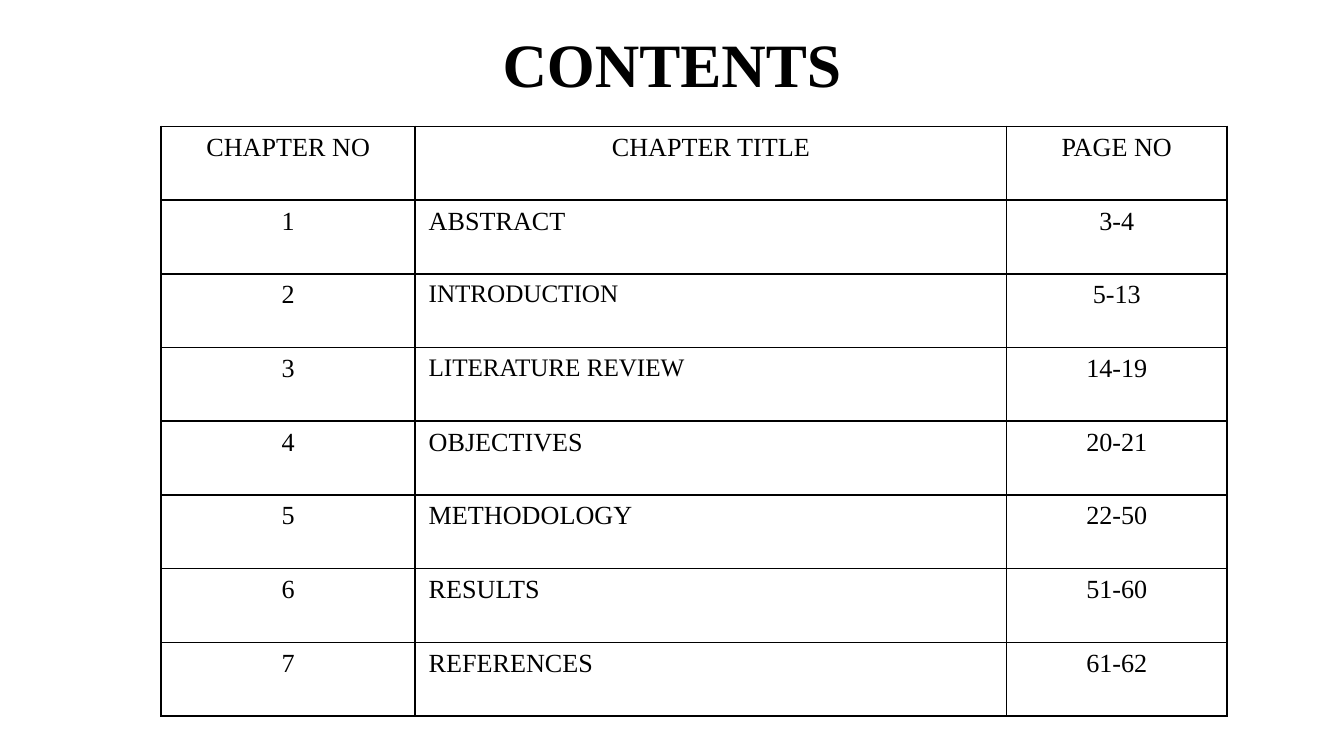
from pptx import Presentation
from pptx.dml.color import RGBColor
from pptx.enum.text import MSO_ANCHOR, PP_ALIGN
from pptx.oxml import parse_xml
from pptx.oxml.ns import nsdecls
from pptx.util import Inches, Pt

LEFT, CENTER = PP_ALIGN.LEFT, PP_ALIGN.CENTER
TOP, MIDDLE = MSO_ANCHOR.TOP, MSO_ANCHOR.MIDDLE

# Content
TITLE = "CONTENTS"
HEADER = ("CHAPTER NO", "CHAPTER TITLE", "PAGE NO")
CHAPTERS = [
    ("ABSTRACT", "3-4"),
    ("INTRODUCTION", "5-13"),
    ("LITERATURE REVIEW", "14-19"),
    ("OBJECTIVES", "20-21"),
    ("METHODOLOGY", "22-50"),
    ("RESULTS", "51-60"),
    ("REFERENCES", "61-62"),
]
SMALLER_TITLES = ("INTRODUCTION", "LITERATURE REVIEW")

THEME = {
    "font": "Times New Roman",
    "ink": "000000",
    "paper": "FFFFFF",
    "title": 33,
    "body": 14,
    "smaller": 13.5,
    "border": 1,
}
SLIDE_WIDTH = 10
SLIDE_HEIGHT = SLIDE_WIDTH * 9 / 16
COL_WIDTHS = (1.89, 4.4, 1.64)
TABLE_HEIGHT = 4.39


def write(tf, text, size=THEME["body"], bold=False, align=LEFT):
    p = tf.paragraphs[0]
    p.alignment = align
    r = p.add_run()
    r.text = text
    r.font.name = THEME["font"]
    r.font.size = Pt(size)
    r.font.bold = bold
    r.font.color.rgb = RGBColor.from_string(THEME["ink"])


def add_borders(cell):
    tc_pr = cell._tc.get_or_add_tcPr()
    # Border lines must come before the fill
    for i, side in enumerate(("lnL", "lnR", "lnT", "lnB")):
        tc_pr.insert(i, parse_xml(
            f'<a:{side} {nsdecls("a")} w="{Pt(THEME["border"])}"><a:solidFill>'
            f'<a:srgbClr val="{THEME["ink"]}"/></a:solidFill></a:{side}>'))


prs = Presentation()
prs.slide_width, prs.slide_height = Inches(SLIDE_WIDTH), Inches(SLIDE_HEIGHT)
s = prs.slides.add_slide(prs.slide_layouts[6])

# Title
sp = s.shapes.add_textbox(Inches(0.5), Inches(0), Inches(9), Inches(0.94))
tf = sp.text_frame
tf.word_wrap = True
tf.vertical_anchor = MIDDLE
write(tf, TITLE, size=THEME["title"], bold=True, align=CENTER)

# Contents table
rows = [HEADER] + [(str(n), *chapter) for n, chapter in enumerate(CHAPTERS, 1)]
table = s.shapes.add_table(
    len(rows), len(HEADER), Inches(1.2), Inches(0.94),
    Inches(sum(COL_WIDTHS)), Inches(TABLE_HEIGHT)).table
for column, width in zip(table.columns, COL_WIDTHS):
    column.width = Inches(width)

for i, row in enumerate(rows):
    table.rows[i].height = Inches(TABLE_HEIGHT / len(rows))
    for j, text in enumerate(row):
        cell = table.cell(i, j)
        cell.vertical_anchor = TOP
        cell.fill.solid()
        cell.fill.fore_color.rgb = RGBColor.from_string(THEME["paper"])
        add_borders(cell)
        write(cell.text_frame, text,
              size=THEME["smaller" if text in SMALLER_TITLES else "body"],
              align=LEFT if i > 0 and j == 1 else CENTER)

prs.save("out.pptx")
